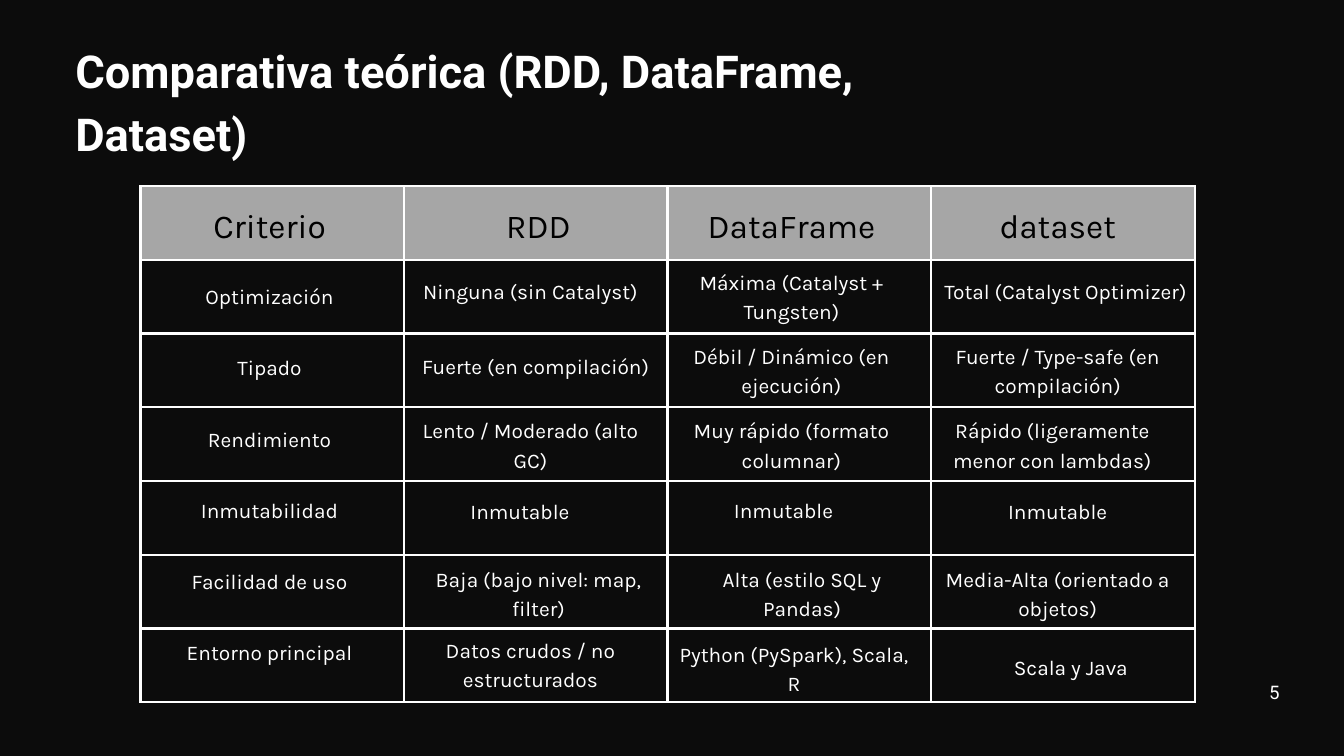
from dataclasses import dataclass

import pptx
import pptx.dml.color
import pptx.enum.text
import pptx.oxml
import pptx.oxml.ns
import pptx.slide
import pptx.table
import pptx.text.text
import pptx.util
from pptx.enum.text import MSO_ANCHOR, MSO_AUTO_SIZE, PP_ALIGN


@dataclass(frozen=True)
class TextStyle:
    font: str
    size: float
    leading: float
    color: str
    bold: bool = False


@dataclass(frozen=True)
class Theme:
    background: str = "0C0C0C"
    header_fill: str = "A6A6A6"
    border: str = "FFFFFF"
    border_width: float = 2.82
    title: TextStyle = TextStyle("Roboto", 48.5, 67.8, "FFFFFF", True)
    header: TextStyle = TextStyle("Karla", 35.8, 50.1, "000000")
    body: TextStyle = TextStyle("Karla", 22.4, 31.3, "FFFFFF")
    number: TextStyle = TextStyle("Roboto", 20, 28, "FFFFFF")


@dataclass(frozen=True)
class Grid:
    left: float
    top: float
    col_width: float
    row_height: float


@dataclass(frozen=True)
class Label:
    text: str
    center: float
    top: float
    width: float
    lines: int = 1


THEME = Theme()
SLIDE_W, SLIDE_H = 20, 11.25
GRID = Grid(2.09, 2.77, 15.69 / 4, 7.68 / 7)

ROWS = [
    [Label("Criterio", 0.49, 0.17, 0.73), Label("RDD", 0.51, 0.17, 0.73),
     Label("DataFrame", 0.47, 0.17, 0.73), Label("dataset", 0.48, 0.17, 0.73)],
    [Label("Optimización", 0.49, 0.26, 0.5),
     Label("Ninguna (sin Catalyst)", 0.48, 0.2, 0.83),
     Label("Máxima (Catalyst + Tungsten)", 0.47, 0.08, 0.99, 2),
     Label("Total (Catalyst Optimizer)", 0.51, 0.2, 0.97)],
    [Label("Tipado", 0.49, 0.23, 0.26),
     Label("Fuerte (en compilación)", 0.5, 0.22, 0.9),
     Label("Débil / Dinámico (en ejecución)", 0.47, 0.08, 0.96, 2),
     Label("Fuerte / Type-safe (en compilación)", 0.48, 0.08, 1.06, 2)],
    [Label("Rendimiento", 0.49, 0.2, 0.49),
     Label("Lento / Moderado (alto GC)", 0.48, 0.09, 0.9, 2),
     Label("Muy rápido (formato columnar)", 0.47, 0.09, 1.07, 2),
     Label("Rápido (ligeramente menor con lambdas)", 0.46, 0.09, 0.94, 2)],
    [Label("Inmutabilidad", 0.49, 0.17, 0.53), Label("Inmutable", 0.44, 0.18, 0.39),
     Label("Inmutable", 0.44, 0.17, 0.39), Label("Inmutable", 0.48, 0.18, 0.39)],
    [Label("Facilidad de uso", 0.49, 0.13, 0.61),
     Label("Baja (bajo nivel: map, filter)", 0.51, 0.1, 0.96, 2),
     Label("Alta (estilo SQL y Pandas)", 0.51, 0.1, 0.89, 2),
     Label("Media-Alta (orientado a objetos)", 0.48, 0.1, 1.1, 2)],
    [Label("Entorno principal", 0.49, 0.1, 0.67),
     Label("Datos crudos / no estructurados", 0.48, 0.07, 1.09, 2),
     Label("Python (PySpark), Scala, R", 0.48, 0.12, 0.91, 2),
     Label("Scala y Java", 0.53, 0.3, 0.46)],
]


def rgb(color: str) -> pptx.dml.color.RGBColor:
    return pptx.dml.color.RGBColor.from_string(color)


def inches(*lengths: float) -> list[pptx.util.Length]:
    return [pptx.util.Inches(length) for length in lengths]


def write(tf: pptx.text.text.TextFrame, text: str, style: TextStyle,
          align: PP_ALIGN, wrap: bool = True) -> None:
    tf.margin_left = tf.margin_top = tf.margin_right = tf.margin_bottom = 0
    tf.word_wrap = wrap
    tf.auto_size = MSO_AUTO_SIZE.SHAPE_TO_FIT_TEXT
    tf.vertical_anchor = MSO_ANCHOR.TOP
    p = tf.paragraphs[0]
    p.text = text
    p.alignment = align
    p.line_spacing = pptx.util.Pt(style.leading)
    p.space_before = pptx.util.Pt(0)
    p.font.name = style.font
    p.font.size = pptx.util.Pt(style.size)
    p.font.bold = style.bold
    p.font.color.rgb = rgb(style.color)


def add_borders(cell: pptx.table._Cell) -> None:
    tc_pr = cell._tc.get_or_add_tcPr()
    width = pptx.util.Pt(THEME.border_width)
    for side in ("lnL", "lnR", "lnT", "lnB"):
        tc_pr.append(pptx.oxml.parse_xml(
            f'<a:{side} {pptx.oxml.ns.nsdecls("a")} w="{width}"><a:solidFill>'
            f'<a:srgbClr val="{THEME.border}"/></a:solidFill></a:{side}>'))


def add_grid(s: pptx.slide.Slide, grid: Grid) -> None:
    n_rows, n_cols = len(ROWS), len(ROWS[0])
    table = s.shapes.add_table(
        n_rows, n_cols, *inches(grid.left, grid.top, grid.col_width * n_cols,
                                grid.row_height * n_rows)).table
    table.first_row = table.horz_banding = False
    for row, line in enumerate(table.rows):
        for cell in line.cells:
            add_borders(cell)
            if row == 0:
                cell.fill.solid()
                cell.fill.fore_color.rgb = rgb(THEME.header_fill)
            else:
                cell.fill.background()


def add_label(s: pptx.slide.Slide, grid: Grid, row: int, col: int,
              label: Label) -> None:
    style = THEME.header if row == 0 else THEME.body
    sp = s.shapes.add_textbox(*inches(
        grid.left + (col + label.center - label.width / 2) * grid.col_width,
        grid.top + (row + label.top) * grid.row_height,
        label.width * grid.col_width,
        label.lines * style.leading / 72))
    write(sp.text_frame, label.text, style, PP_ALIGN.CENTER)


def add_title(s: pptx.slide.Slide, text: str) -> None:
    sp = s.shapes.title
    sp.left, sp.top, sp.width, sp.height = inches(
        0.056 * SLIDE_W, 0.045 * SLIDE_H, 0.641 * SLIDE_W, 0.163 * SLIDE_H)
    write(sp.text_frame, text, THEME.title, PP_ALIGN.LEFT)


def add_page_number(s: pptx.slide.Slide, text: str) -> None:
    sp = s.shapes.add_textbox(*inches(
        0.944 * SLIDE_W, 0.895 * SLIDE_H, 0.0085 * SLIDE_W, 0.02 * SLIDE_H))
    write(sp.text_frame, text, THEME.number, PP_ALIGN.CENTER, wrap=False)


def main() -> None:
    prs = pptx.Presentation()
    prs.slide_width, prs.slide_height = inches(SLIDE_W, SLIDE_H)
    s = prs.slides.add_slide(prs.slide_layouts[5])
    s.background.fill.solid()
    s.background.fill.fore_color.rgb = rgb(THEME.background)
    add_title(s, "Comparativa teórica (RDD, DataFrame, Dataset)")
    add_grid(s, GRID)
    for row, labels in enumerate(ROWS):
        for col, label in enumerate(labels):
            add_label(s, GRID, row, col, label)
    add_page_number(s, "5")
    prs.save("out.pptx")


if __name__ == "__main__":
    main()
